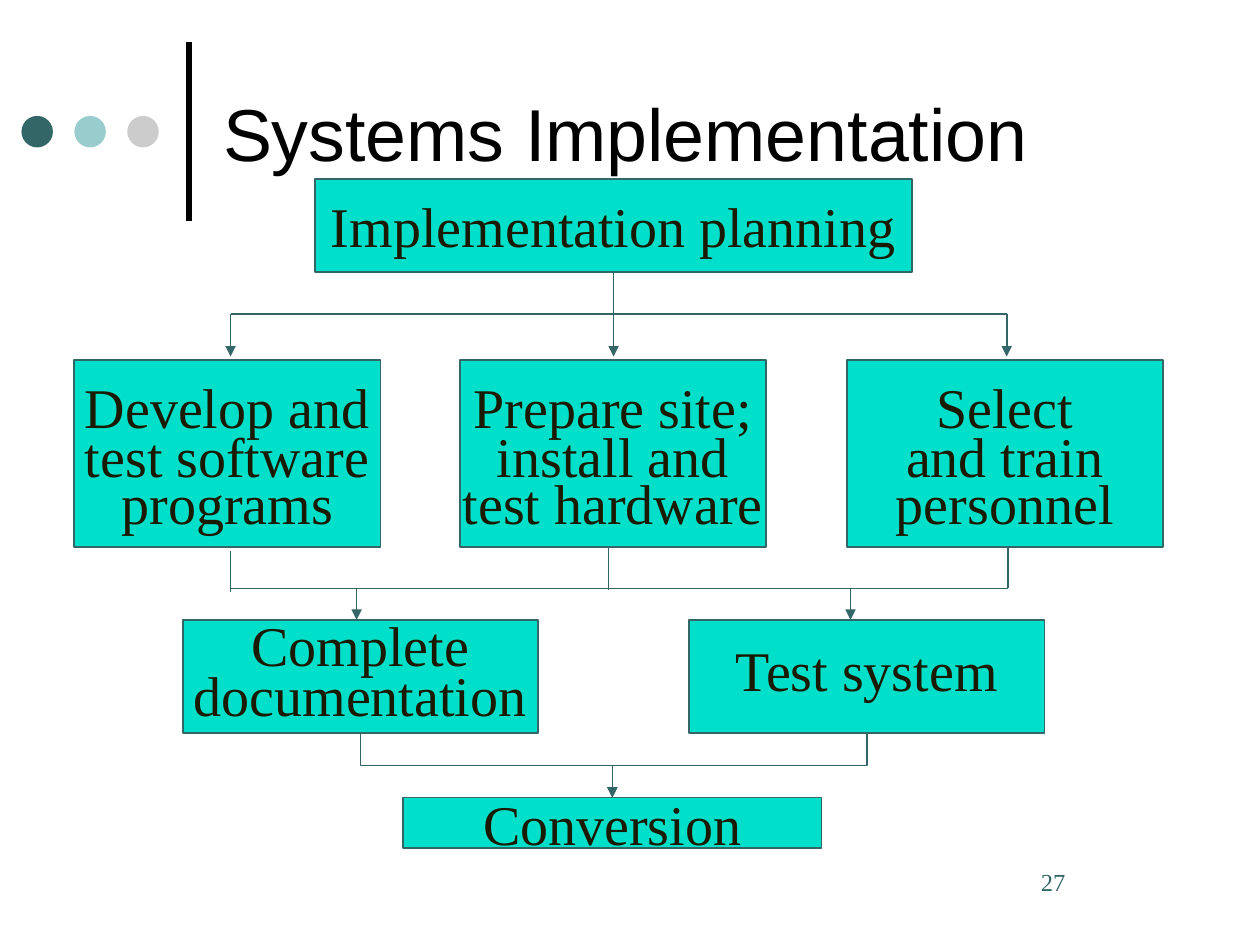
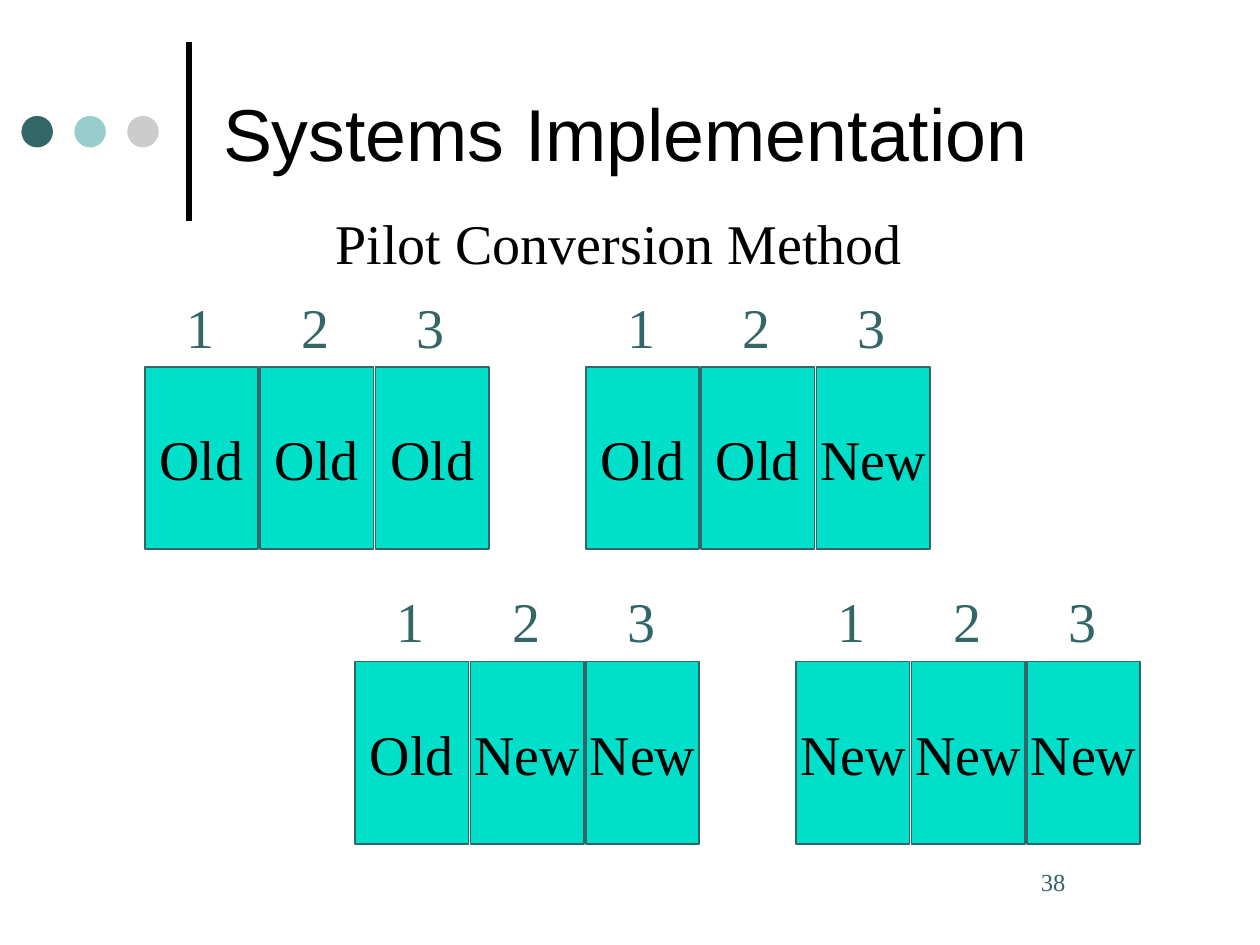
import pptx
import pptx.util
import pptx.dml.color
import pptx.enum.shapes
import pptx.enum.text
from lxml import etree

Inches = pptx.util.Inches
Pt = pptx.util.Pt
Kind = pptx.enum.shapes.MSO_SHAPE
Link = pptx.enum.shapes.MSO_CONNECTOR
Align = pptx.enum.text.PP_ALIGN
Anchor = pptx.enum.text.MSO_ANCHOR

INK = {"teal": "336666", "pale": "99CCCC", "gray": "CCCCCC",
       "mint": "00DFCA", "dark": "1A1A00", "black": "000000"}
SERIF = "Times New Roman"
TITLE = "Systems Implementation"
DOTS = ["teal", "pale", "gray"]

STEPS = {
    "plan": (["Implementation planning"], (2.5, 1.42, 4.74, 0.74), (1, 1)),
    "code": (["Develop and", "test software", "programs"],
             (0.59, 2.86, 2.43, 1.48), (1, 0.7)),
    "site": (["Prepare site;", "install and", "test hardware"],
             (3.65, 2.86, 2.43, 1.48), (1, 0.7)),
    "staff": (["Select", "and train", "personnel"],
              (6.72, 2.86, 2.51, 1.48), (1, 0.7)),
    "docs": (["Complete", "documentation"],
             (1.45, 4.92, 2.82, 0.9), (0.75, 0.75)),
    "test": (["Test system"], (5.47, 4.92, 2.82, 0.9), (0.75, 0.75)),
    "switch": (["Conversion"], (3.2, 6.33, 3.32, 0.4), (1, 1)),
}
FORK, JOIN = 2.49, 4.67
DROPS = [1.83, 4.87, 7.99]
RISES = [(1.83, 4.37, 4.7), (4.83, 4.35, 4.68), (8, 4.33, JOIN)]
FEEDS = [2.83, 6.75]

PILOT = "Pilot Conversion Method"
STAGES = [
    (1.15, 2.91, ["Old", "Old", "Old"]),
    (4.65, 2.91, ["Old", "Old", "New"]),
    (2.82, 5.25, ["Old", "New", "New"]),
    (6.32, 5.25, ["New", "New", "New"]),
]
PITCH = 1.83 / 2


def tint(name):
    return pptx.dml.color.RGBColor.from_string(INK[name])


def write(shape, rows, size, color, align=Align.CENTER, font=SERIF,
          wrap=False, anchor=Anchor.MIDDLE, gaps=(1, 1)):
    frame = shape.text_frame
    frame.text = "\n".join(rows)
    frame.word_wrap = wrap
    frame.auto_size = pptx.enum.text.MSO_AUTO_SIZE.NONE
    frame.vertical_anchor = anchor
    for i, para in enumerate(frame.paragraphs):
        para.alignment = align
        para.line_spacing = gaps[min(i, 1)]
        para.font.size = Pt(size)
        para.font.name = font
        para.font.color.rgb = tint(color)
    return frame


def draw(slide, kind, place, fill=None, edge=None):
    shape = slide.shapes.add_shape(kind, *map(Inches, place))
    shape.shadow.inherit = False
    if fill:
        shape.fill.solid()
        shape.fill.fore_color.rgb = tint(fill)
    else:
        shape.fill.background()
    if edge:
        shape.line.color.rgb = tint(edge)
        shape.line.width = Pt(1)
    else:
        shape.line.fill.background()
    return shape


def label(slide, place, text, size, align):
    box = slide.shapes.add_textbox(*map(Inches, place))
    return write(box, [text], size, "teal", align, wrap=True, anchor=Anchor.TOP)


def wire(slide, start, end, width=1, color="teal", arrow=False, kind=Link.STRAIGHT):
    line = slide.shapes.add_connector(kind, *map(Inches, start + end))
    line.line.color.rgb = tint(color)
    line.line.width = Pt(width)
    space = pptx.oxml.ns.qn
    etree.SubElement(line._element.spPr, space("a:effectLst"))
    if arrow:
        tail = etree.SubElement(line.line._get_or_add_ln(), space("a:tailEnd"))
        tail.set("type", "triangle")
    return line


def merge(slide, top, low):
    x = (top.left + top.width // 2, low.left + low.width // 2)
    y = (top.top + top.height, low.top)
    line = wire(slide, (0, 0), (1, 1), 0.75, arrow=True, kind=Link.ELBOW)
    line.begin_connect(top, 2)
    line.end_connect(low, 0)
    wide, tall = y[1] - y[0], abs(x[1] - x[0])
    line.left, line.top = (sum(x) - wide) // 2, (sum(y) - tall) // 2
    line.width, line.height = wide, tall
    right = x[1] > x[0]
    form = line._element.spPr.xfrm
    form.set("rot", str((270 if right else 90) * 60000))
    form.set("flipH", "1" if right else "0")
    form.set("flipV", "0")


def start(deck, number):
    slide = deck.slides.add_slide(deck.slide_layouts[5])
    wire(slide, (1.5, 1.75), (1.5, 0.33), 3, "black")
    for i, color in enumerate(DOTS):
        draw(slide, Kind.OVAL, (0.17 + 0.42 * i, 0.92, 0.25, 0.25), color)
    title = slide.shapes.title
    title.left, title.top, title.width, title.height = map(
        Inches, (1.67, 0.21, 7.67, 1.67))
    write(title, [TITLE], 42, "black", Align.LEFT, "Arial", True)
    page = label(slide, (7.92, 6.83, 1.42, 0.5), number, 14, Align.LEFT)
    page.margin_left = Inches(0.34)
    return slide


def flow(deck):
    slide = start(deck, "27")
    box = {}
    for key, (rows, place, gaps) in STEPS.items():
        box[key] = draw(slide, Kind.RECTANGLE, place, "mint", "teal")
        write(box[key], rows, 32, "dark", gaps=gaps)
    stem = wire(slide, (4.87, 2.16), (4.87, FORK))
    stem.begin_connect(box["plan"], 2)
    for x in DROPS:
        wire(slide, (x, FORK), (x, 2.83), arrow=True)
    for x, top, low in RISES:
        wire(slide, (x, top), (x, low))
    wire(slide, (DROPS[0], FORK), (DROPS[-1], FORK))
    wire(slide, (RISES[0][0], JOIN), (RISES[-1][0], JOIN))
    for x in FEEDS:
        wire(slide, (x, JOIN), (x, 4.92), 0.75, arrow=True)
    for key in ("docs", "test"):
        merge(slide, box[key], box["switch"])


def pilot(deck):
    slide = start(deck, "38")
    head = draw(slide, Kind.OVAL, (2.08, 1.42, 5.67, 1))
    write(head, [PILOT], 32, "black")
    for left, top, states in STAGES:
        for i, state in enumerate(states):
            x = left + PITCH * i
            label(slide, (x + 0.15, top - 0.64, 0.58, 0.63), str(i + 1),
                  32, Align.CENTER)
            cell = draw(slide, Kind.RECTANGLE, (x, top, 0.9, 1.45), "mint", "teal")
            write(cell, [state], 32, "black")


def main():
    deck = pptx.Presentation()
    deck.slide_width, deck.slide_height = Inches(10), Inches(7.5)
    flow(deck)
    pilot(deck)
    deck.save("out.pptx")


if __name__ == "__main__":
    main()
